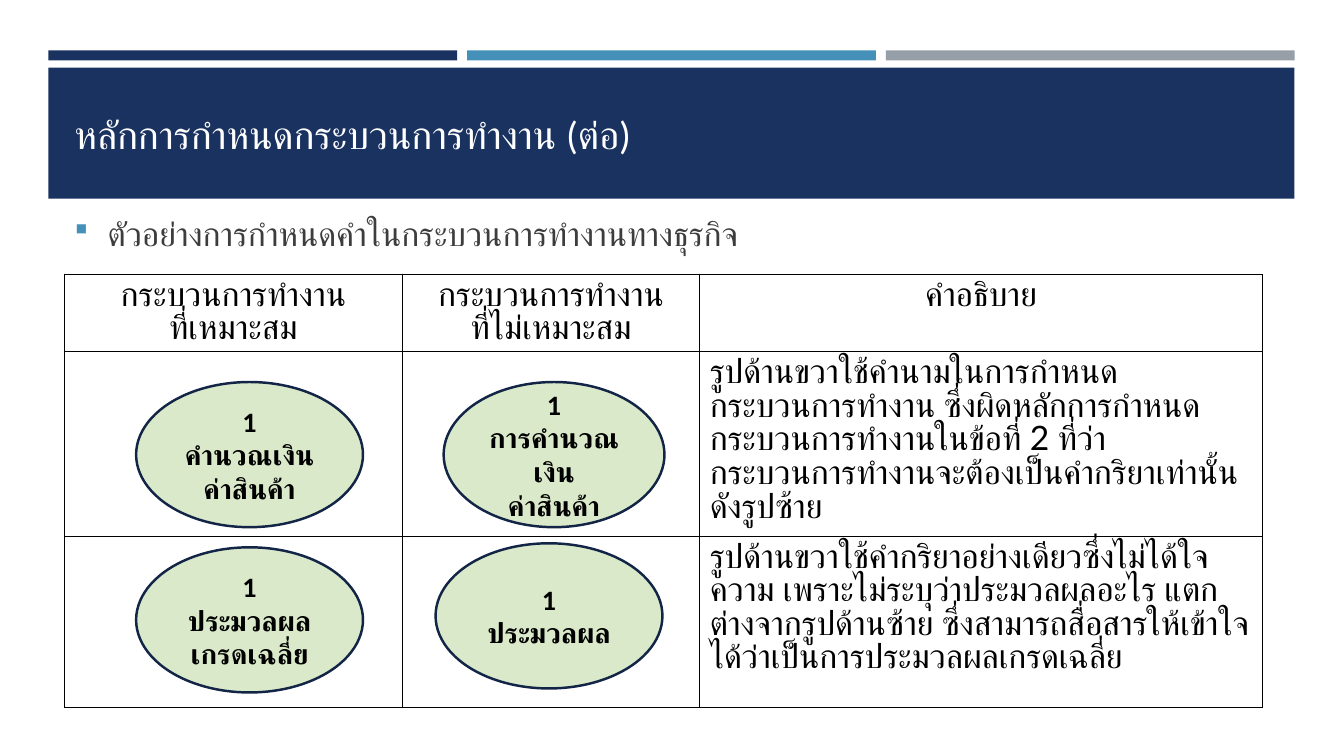
from dataclasses import dataclass
from itertools import accumulate

from lxml.etree import SubElement
from pptx import Presentation
from pptx.dml.color import RGBColor
from pptx.enum.shapes import MSO_SHAPE as Shape
from pptx.enum.text import MSO_ANCHOR as Anchor, PP_ALIGN as Align
from pptx.oxml.ns import qn
from pptx.util import Inches, Pt


@dataclass(frozen=True)
class Theme:
    navy: str = "1A3260"
    blue: str = "4590B8"
    gray: str = "969FA7"
    white: str = "FFFFFF"
    black: str = "000000"
    body: str = "3D3D3D"
    bubble: str = "DAE9C9"
    outline: str = "132547"
    heading_font: str = "Calibri"
    body_font: str = "Lato"
    title_size: int = 28
    body_size: int = 24
    bubble_size: int = 20


THEME = Theme()
SLIDE_W, SLIDE_H = 13.33, 7.5
COLUMNS = (3.35, 2.95, 5.58)
ROWS = (0.77, 1.83, 1.7)

TITLE = "หลักการกำหนดกระบวนการทำงาน (ต่อ)"
INTRO = "ตัวอย่างการกำหนดคำในกระบวนการทำงานทางธุรกิจ"
HEADERS = ("กระบวนการทำงาน\nที่เหมาะสม", "กระบวนการทำงาน\nที่ไม่เหมาะสม", "คำอธิบาย")
EXPLANATIONS = (
    "รูปด้านขวาใช้คำนามในการกำหนดกระบวนการทำงาน ซึ่งผิดหลักการกำหนด"
    "กระบวนการทำงานในข้อที่ 2 ที่ว่า กระบวนการทำงานจะต้องเป็นคำกริยาเท่านั้น ดังรูปซ้าย",
    "รูปด้านขวาใช้คำกริยาอย่างเดียวซึ่งไม่ได้ใจความ เพราะไม่ระบุว่าประมวลผลอะไร "
    "แตกต่างจากรูปด้านซ้าย ซึ่งสามารถสื่อสารให้เข้าใจได้ว่าเป็นการประมวลผลเกรดเฉลี่ย",
)
# row, column, offset within the cell, width, wording
PROCESSES = (
    (1, 0, 0.71, 0.3, 2.25, "1\nคำนวณเงิน\nค่าสินค้า"),
    (1, 1, 0.41, 0.3, 2.19, "1\nการคำนวณเงิน\nค่าสินค้า"),
    (2, 0, 0.71, 0.11, 2.25, "1\nประมวลผล\nเกรดเฉลี่ย"),
    (2, 1, 0.33, 0.07, 2.25, "1\nประมวลผล"),
)


def rgb(value):
    return RGBColor.from_string(value)


def write(frame, text, font, size, color, align=Align.LEFT, bold=False, pitch=None):
    frame.word_wrap = True
    frame.text = text
    for paragraph in frame.paragraphs:
        paragraph.alignment = align
        paragraph.line_spacing = pitch
        paragraph.font.name = font
        paragraph.font.size = Pt(size)
        paragraph.font.bold = bold
        paragraph.font.color.rgb = rgb(color)


def add_filled(slide, kind, box, color):
    filled = slide.shapes.add_shape(kind, *map(Inches, box))
    filled.shadow.inherit = False
    filled.fill.solid()
    filled.fill.fore_color.rgb = rgb(color)
    filled.line.fill.background()
    return filled


def add_header(slide, left, top, width):
    gap = 0.1
    strip = (width - 2 * gap) / 3
    for i, color in enumerate((THEME.navy, THEME.blue, THEME.gray)):
        add_filled(slide, Shape.RECTANGLE,
                   (left + i * (strip + gap), top, strip, 0.1), color)
    add_filled(slide, Shape.RECTANGLE, (left, top + 0.17, width, 1.3), THEME.navy)
    title = slide.shapes.add_textbox(
        *map(Inches, (left + 0.16, top + 0.27, width - 0.3, 1.11))).text_frame
    write(title, TITLE, THEME.heading_font, THEME.title_size, THEME.white)
    title.vertical_anchor = Anchor.MIDDLE


def add_intro(slide, box):
    intro = slide.shapes.add_textbox(*map(Inches, box)).text_frame
    intro.text = INTRO
    props = intro.paragraphs[0]._p.get_or_add_pPr()
    props.set("marL", str(Inches(0.33)))
    props.set("indent", str(-Inches(0.33)))
    bullet_color = SubElement(props, qn("a:buClr"))
    SubElement(bullet_color, qn("a:srgbClr"), val=THEME.blue)
    SubElement(props, qn("a:buSzPct"), val="92000")
    SubElement(props, qn("a:buFont"), typeface="Wingdings", charset="2")
    SubElement(props, qn("a:buChar"), char="§")
    intro.paragraphs[0].space_after = Pt(6)
    intro.word_wrap = True
    font = intro.paragraphs[0].font
    font.name, font.size = THEME.body_font, Pt(THEME.body_size)
    font.color.rgb = rgb(THEME.body)


def style_cell(cell):
    props = cell._tc.get_or_add_tcPr()
    for side in ("lnL", "lnR", "lnT", "lnB"):
        border = SubElement(props, qn(f"a:{side}"), w=str(Pt(1)))
        SubElement(SubElement(border, qn("a:solidFill")), qn("a:srgbClr"), val=THEME.black)
    cell.fill.solid()
    cell.fill.fore_color.rgb = rgb(THEME.white)


def add_comparison(slide, left, top):
    table = slide.shapes.add_table(
        len(ROWS), len(COLUMNS),
        *map(Inches, (left, top, sum(COLUMNS), sum(ROWS)))).table
    table.first_row = table.horz_banding = False
    for column, width in zip(table.columns, COLUMNS):
        column.width = Inches(width)
    for row, height in zip(table.rows, ROWS):
        row.height = Inches(height)
    for cell in table.iter_cells():
        style_cell(cell)

    # A fixed line pitch keeps the rows at their set heights.
    body = (THEME.body_font, THEME.body_size, THEME.black)
    pitch = Pt(THEME.body_size)
    for i, header in enumerate(HEADERS):
        write(table.cell(0, i).text_frame, header, *body, Align.CENTER, pitch=pitch)
    for i, explanation in enumerate(EXPLANATIONS, 1):
        write(table.cell(i, 2).text_frame, explanation, *body, pitch=pitch)

    column_lefts = list(accumulate(COLUMNS, initial=left))
    row_tops = list(accumulate(ROWS, initial=top))
    for row, column, dx, dy, width, wording in PROCESSES:
        bubble = add_filled(
            slide, Shape.OVAL,
            (column_lefts[column] + dx, row_tops[row] + dy, width, 1.44), THEME.bubble)
        bubble.line.color.rgb = rgb(THEME.outline)
        bubble.line.width = Pt(1.75)
        write(bubble.text_frame, wording, THEME.heading_font, THEME.bubble_size,
              THEME.black, Align.CENTER, bold=True)
        bubble.text_frame.vertical_anchor = Anchor.MIDDLE


def main():
    deck = Presentation()
    deck.slide_width, deck.slide_height = Inches(SLIDE_W), Inches(SLIDE_H)
    slide = deck.slides.add_slide(deck.slide_layouts[6])
    add_header(slide, 0.48, 0.5, 12.36)
    add_intro(slide, (0.64, 2.06, 12.06, 4.02))
    add_comparison(slide, 0.64, 2.72)
    deck.save("out.pptx")


if __name__ == "__main__":
    main()
